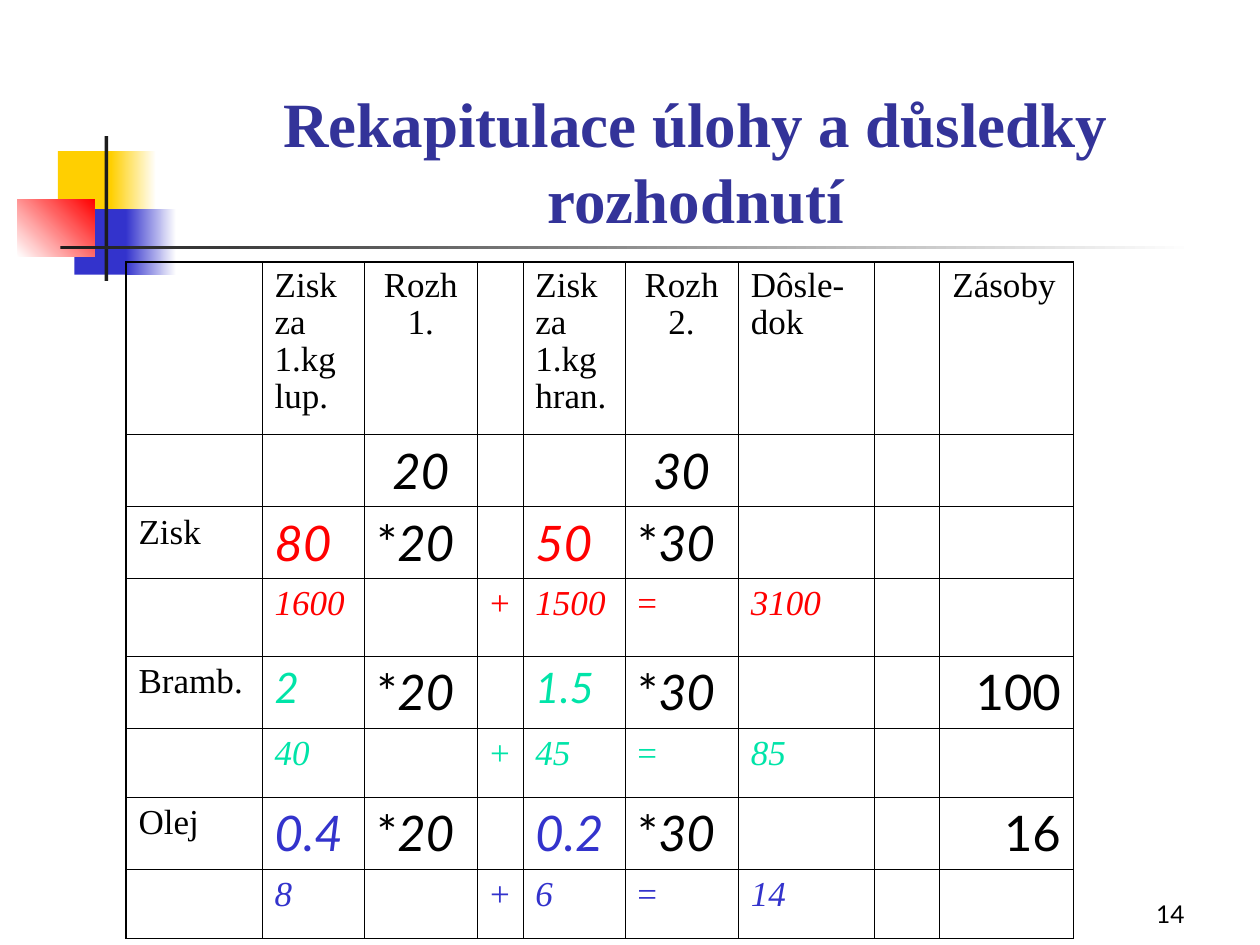
from lxml import etree
from pptx import Presentation
from pptx.dml.color import RGBColor
from pptx.enum.shapes import MSO_SHAPE
from pptx.enum.text import MSO_ANCHOR, PP_ALIGN
from pptx.oxml.ns import qn
from pptx.util import Inches, Pt

RECTANGLE = MSO_SHAPE.RECTANGLE
BOTTOM = MSO_ANCHOR.BOTTOM
LEFT, CENTER, RIGHT = PP_ALIGN.LEFT, PP_ALIGN.CENTER, PP_ALIGN.RIGHT

SERIF, SANS = "Times New Roman", "Lato"
BLACK, WHITE, CHARCOAL = "000000", "FFFFFF", "1C1C1C"
YELLOW, BLUE, RED, GREEN = "FFCF01", "3333CC", "FF0000", "00E4A8"
TITLE_BLUE = "333399"

COLUMNS = [1.08, 0.81, 0.9, 0.36, 0.81, 0.9, 1.08, 0.52, 1.06]
ROWS = [1.37, 0.57, 0.57, 0.62, 0.57, 0.55, 0.57, 0.55]
OUTER_LINE, INNER_LINE = 1.08, 0.45

# Column, text, alignment
HEADERS = [
    (1, "Zisk za 1.kg lup.", LEFT),
    (2, "Rozh 1.", CENTER),
    (4, "Zisk za 1.kg hran.", LEFT),
    (5, "Rozh 2.", CENTER),
    (6, "Dôsle-dok", LEFT),
    (8, "Zásoby", LEFT),
]
DECISIONS = {2: "20", 5: "30"}
# Name, two rates, two products, their sum, stock, colour, size of the rates
RESOURCES = [
    ("Zisk", ("80", "50"), ("1600", "1500"), "3100", "", RED, 28),
    ("Bramb.", ("2", "1.5"), ("40", "45"), "85", "100", GREEN, 24),
    ("Olej", ("0.4", "0.2"), ("8", "6"), "14", "16", BLUE, 28),
]


def colour(value):
    return RGBColor.from_string(value)


def write(frame, text, size=20, font=SERIF, color=BLACK, bold=False,
          italic=False, align=LEFT, spacing=None):
    """Add a span to the frame's first paragraph."""
    frame.word_wrap = True
    para = frame.paragraphs[0]
    para.alignment = align
    if spacing:
        para.line_spacing = spacing
    span = para.add_run()
    span.text = text
    span.font.size = Pt(size)
    span.font.name = font
    span.font.bold = bold
    span.font.italic = italic
    span.font.color.rgb = colour(color)


def add_block(page, place, start, end=None, angle=0):
    """Add a borderless rectangle, plain or shaded from start to end."""
    block = page.shapes.add_shape(RECTANGLE, *map(Inches, place))
    block.shadow.inherit = False
    block.line.fill.background()
    if end is None:
        block.fill.solid()
        block.fill.fore_color.rgb = colour(start)
        return
    block.fill.gradient()
    block.fill.gradient_angle = angle
    for stop, shade in zip(block.fill.gradient_stops, (start, end)):
        stop.color.rgb = colour(shade)


def add_text(page, place, text, **style):
    box = page.shapes.add_textbox(*map(Inches, place))
    box.text_frame.vertical_anchor = BOTTOM
    write(box.text_frame, text, **style)


def draw_borders(cell, widths):
    """Draw left, right, top and bottom borders, widths in points."""
    properties = cell._tc.get_or_add_tcPr()
    for side, width in zip("LRTB", widths):
        line = etree.SubElement(properties, qn(f"a:ln{side}"), w=str(Pt(width)))
        fill = etree.SubElement(line, qn("a:solidFill"))
        etree.SubElement(fill, qn("a:srgbClr"), val=BLACK)


def add_grid(page, left, top):
    frame = page.shapes.add_table(len(ROWS), len(COLUMNS), Inches(left), Inches(top),
                                  Inches(sum(COLUMNS)), Inches(sum(ROWS)))
    table = frame.table
    table.first_row = table.horz_banding = False
    for column, width in zip(table.columns, COLUMNS):
        column.width = Inches(width)
    for row, height in zip(table.rows, ROWS):
        row.height = Inches(height)
    for r in range(len(ROWS)):
        for c in range(len(COLUMNS)):
            cell = table.cell(r, c)
            edges = (c == 0, c == len(COLUMNS) - 1, r == 0, r == len(ROWS) - 1)
            draw_borders(cell, [OUTER_LINE if edge else INNER_LINE for edge in edges])
            cell.fill.background()
    return table


def fill_resource(table, row, resource):
    """Fill the rates row and the results row of one resource."""
    name, rates, products, total, stock, color, rate_size = resource

    def put(r, c, text, **style):
        write(table.cell(r, c).text_frame, text, **style)

    put(row, 0, name)
    for c, rate, product in zip((1, 4), rates, products):
        put(row, c, rate, size=rate_size, font=SANS, color=color, italic=True)
        put(row, c + 1, "*", size=28, font=SANS)
        put(row, c + 1, DECISIONS[c + 1], size=28, font=SANS, italic=True)
        put(row + 1, c, product, color=color, italic=True)
    put(row + 1, 3, "+", color=color)
    put(row + 1, 5, "=", color=color)
    put(row + 1, 6, total, color=color, italic=True)
    if stock:
        put(row, 8, stock, size=28, font=SANS, align=RIGHT)


def main():
    deck = Presentation()
    deck.slide_width, deck.slide_height = Inches(10), Inches(7.5)
    page = deck.slides.add_slide(deck.slide_layouts[6])

    # Coloured ornament and rule
    add_block(page, (0.46, 1.2, 0.48, 0.52), YELLOW)
    add_block(page, (0.88, 1.2, 0.36, 0.52), YELLOW, WHITE)
    add_block(page, (0.59, 1.66, 0.46, 0.52), BLUE)
    add_block(page, (1, 1.66, 0.4, 0.52), BLUE, WHITE)
    add_block(page, (0.14, 1.58, 0.61, 0.46), WHITE, RED, angle=45)
    add_block(page, (0.83, 1.08, 0.03, 1.15), CHARCOAL)
    add_block(page, (0.48, 1.95, 9, 0.03), CHARCOAL, WHITE)

    # Page number and title
    add_text(page, (7.42, 6.92, 2.08, 0.5), "14", size=14, font=SANS, align=RIGHT)
    add_text(page, (1.26, 0.67, 8.52, 1.25), "Rekapitulace úlohy a důsledky rozhodnutí",
             size=36, color=TITLE_BLUE, bold=True, align=CENTER)

    # Table of rates, decisions and results
    table = add_grid(page, 1, 2.08)
    for c, text, align in HEADERS:
        write(table.cell(0, c).text_frame, text, align=align, spacing=0.95)
    for c, amount in DECISIONS.items():
        write(table.cell(1, c).text_frame, amount, size=28, font=SANS,
              italic=True, align=CENTER)
    for index, resource in enumerate(RESOURCES):
        fill_resource(table, 2 + 2 * index, resource)

    deck.save("out.pptx")


if __name__ == "__main__":
    main()
